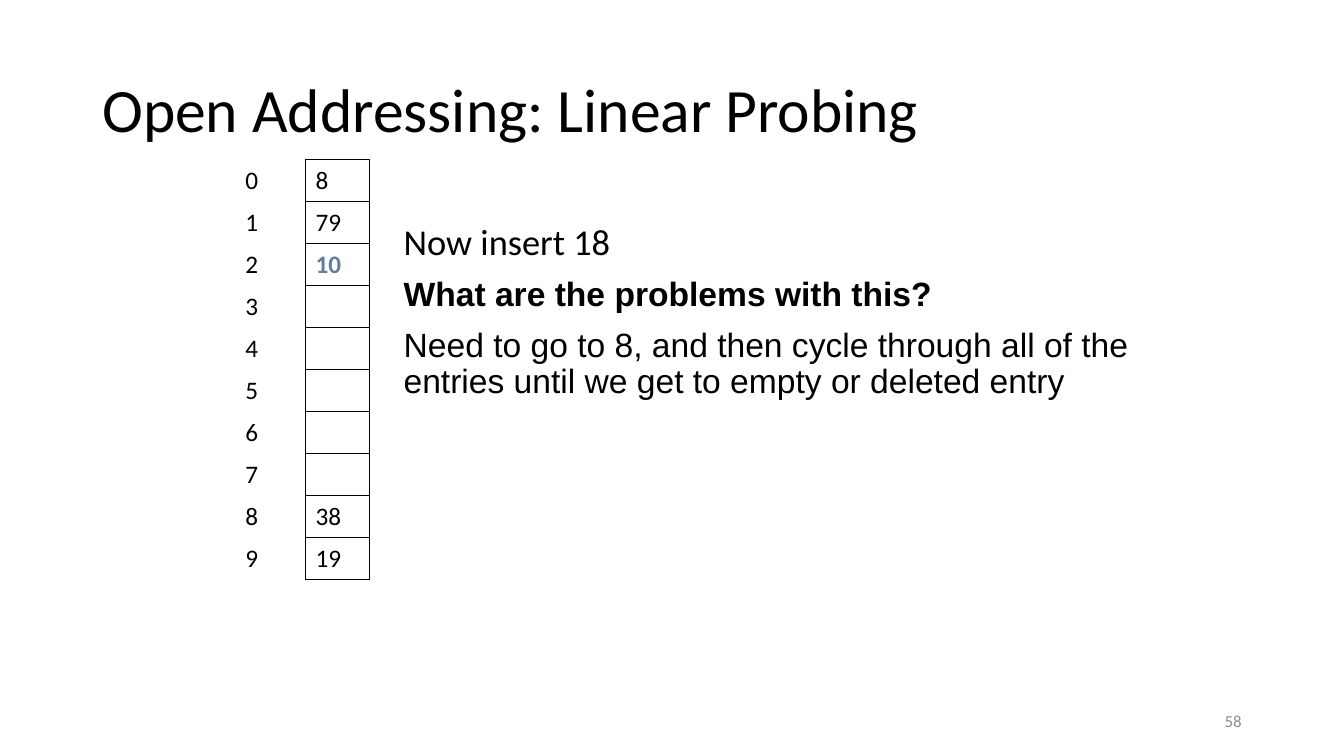
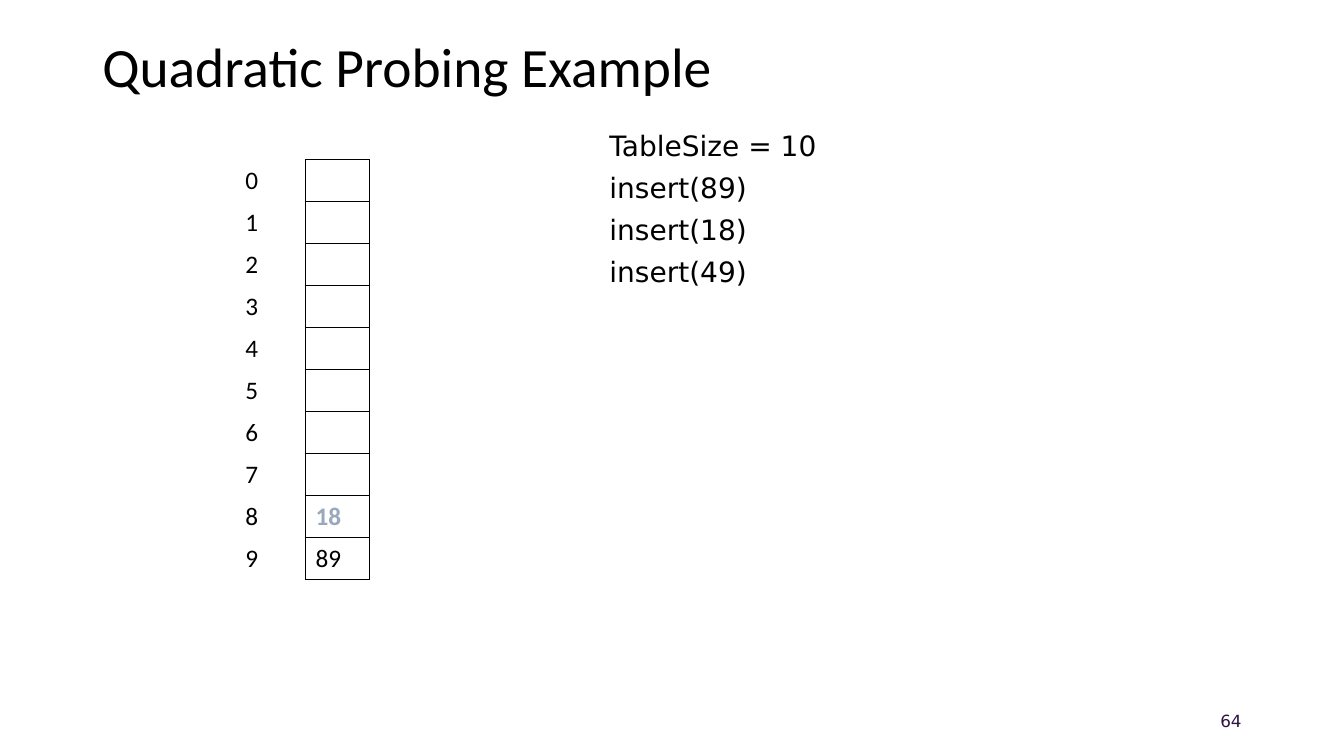
from dataclasses import dataclass

from lxml import etree
from pptx import Presentation
from pptx.dml.color import RGBColor
from pptx.enum.text import MSO_ANCHOR as Anchor, PP_ALIGN as Align
from pptx.oxml.ns import qn
from pptx.util import Emu, Pt

PX = 9525  # 96 px to the inch


@dataclass(frozen=True)
class Theme:
    sans: str = "Calibri"
    plain: str = "Arial"
    code: str = "DejaVu Sans"
    ink: str = "000000"
    new_blue: str = "657D9D"
    pale_blue: str = "99A8BD"
    number_grey: str = "8C8C8C"
    number_violet: str = "2F1343"
    title: float = 44
    small_title: float = 39.6
    lead: float = 26
    body: float = 24
    code_size: float = 20
    cell: float = 18
    number: float = 12


THEME = Theme()


@dataclass(frozen=True)
class Style:
    font: str
    size: float
    color: str = THEME.ink
    bold: bool = False


CELL = Style(THEME.sans, THEME.cell)


def px(length):
    return Emu(length * PX)


def style_para(para, style):
    for span in para.runs:
        span.font.name = style.font
        span.font.size = Pt(style.size)
        span.font.bold = style.bold
        span.font.color.rgb = RGBColor.from_string(style.color)


def add_text(page, bounds, lines, anchor=Anchor.TOP, align=Align.LEFT,
             spacing=1.0, before=0):
    """Add a text box; lines holds one (text, style) pair per paragraph."""
    box = page.shapes.add_textbox(*map(px, bounds))
    frame = box.text_frame
    frame.word_wrap = True
    frame.vertical_anchor = anchor
    frame.text = "\n".join(text for text, _ in lines)
    for index, (para, (_, style)) in enumerate(zip(frame.paragraphs, lines)):
        para.alignment = align
        para.line_spacing = spacing
        if index:
            para.space_before = Pt(before)
        style_para(para, style)


def add_title(page, text, height, size):
    add_text(page, (88, 38, 1104, height),
             [(text, Style(THEME.sans, size))], Anchor.MIDDLE, spacing=0.9)


def add_page_number(page, number, font, color):
    add_text(page, (904, 667, 288, 38),
             [(str(number), Style(font, THEME.number, color))],
             Anchor.MIDDLE, Align.RIGHT)


def set_borders(cell, drawn_sides):
    """Draw the named sides in ink and hide the others."""
    properties = cell._tc.get_or_add_tcPr()
    for position, side in enumerate("LRTB"):
        line = etree.Element(qn(f"a:ln{side}"), w=str(Pt(1)))
        if side in drawn_sides:
            fill = etree.SubElement(line, qn("a:solidFill"))
            etree.SubElement(fill, qn("a:srgbClr"), val=THEME.ink)
        else:
            etree.SubElement(line, qn("a:noFill"))
        properties.insert(position, line)


def fill_cell(cell, text, style, borders):
    cell.fill.background()
    cell.vertical_anchor = Anchor.MIDDLE
    cell.text = text
    style_para(cell.text_frame.paragraphs[0], style)
    set_borders(cell, borders)


def add_hash_table(page, entries, highlight, color, slots=10):
    """Add the slot numbers and the values stored beside them."""
    row_height, widths = 40, (67, 61)
    frame = page.shapes.add_table(slots, 2, px(224), px(152),
                                  px(sum(widths)), px(slots * row_height))
    table = frame.table
    table.first_row = table.horz_banding = False
    for column, width in zip(table.columns, widths):
        column.width = px(width)
    new_style = Style(THEME.sans, THEME.cell, color, True)
    for slot, row in enumerate(table.rows):
        row.height = px(row_height)
        index_cell, value_cell = row.cells
        fill_cell(index_cell, str(slot), CELL, "R")
        fill_cell(value_cell, str(entries.get(slot, "")),
                  new_style if slot == highlight else CELL, "LRTB")


def build_linear(page):
    add_title(page, "Open Addressing: Linear Probing", 139, THEME.title)
    add_text(page, (375, 209, 720, 446), [
        ("Now insert 18", Style(THEME.sans, THEME.lead)),
        ("What are the problems with this?",
         Style(THEME.plain, THEME.body, bold=True)),
        ("Need to go to 8, and then cycle through all of the entries "
         "until we get to empty or deleted entry",
         Style(THEME.plain, THEME.body)),
    ], spacing=0.9, before=10)
    add_hash_table(page, {0: 8, 1: 79, 2: 10, 8: 38, 9: 19},
                   2, THEME.new_blue)
    add_page_number(page, 58, THEME.sans, THEME.number_grey)


def build_quadratic(page):
    add_title(page, "Quadratic Probing Example", 57, THEME.small_title)
    code = Style(THEME.code, THEME.code_size)
    steps = ("TableSize = 10", "insert(89)", "insert(18)", "insert(49)")
    add_text(page, (571, 118, 463, 163),
             [(step, code) for step in steps], before=6)
    add_page_number(page, 64, THEME.code, THEME.number_violet)
    add_hash_table(page, {8: 18, 9: 89}, 8, THEME.pale_blue)


def main():
    deck = Presentation()
    deck.slide_width, deck.slide_height = px(1280), px(720)
    blank = deck.slide_layouts[6]
    for build in (build_linear, build_quadratic):
        build(deck.slides.add_slide(blank))
    deck.save("out.pptx")


if __name__ == "__main__":
    main()
